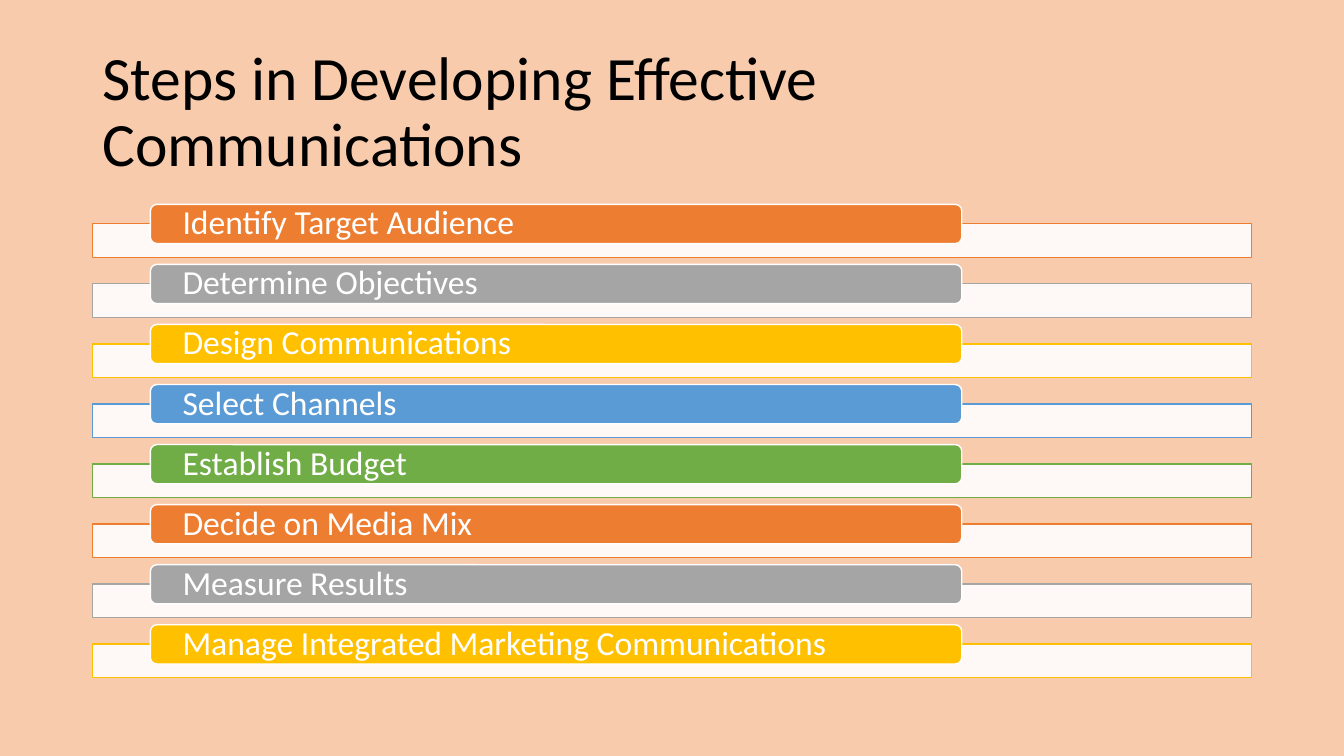
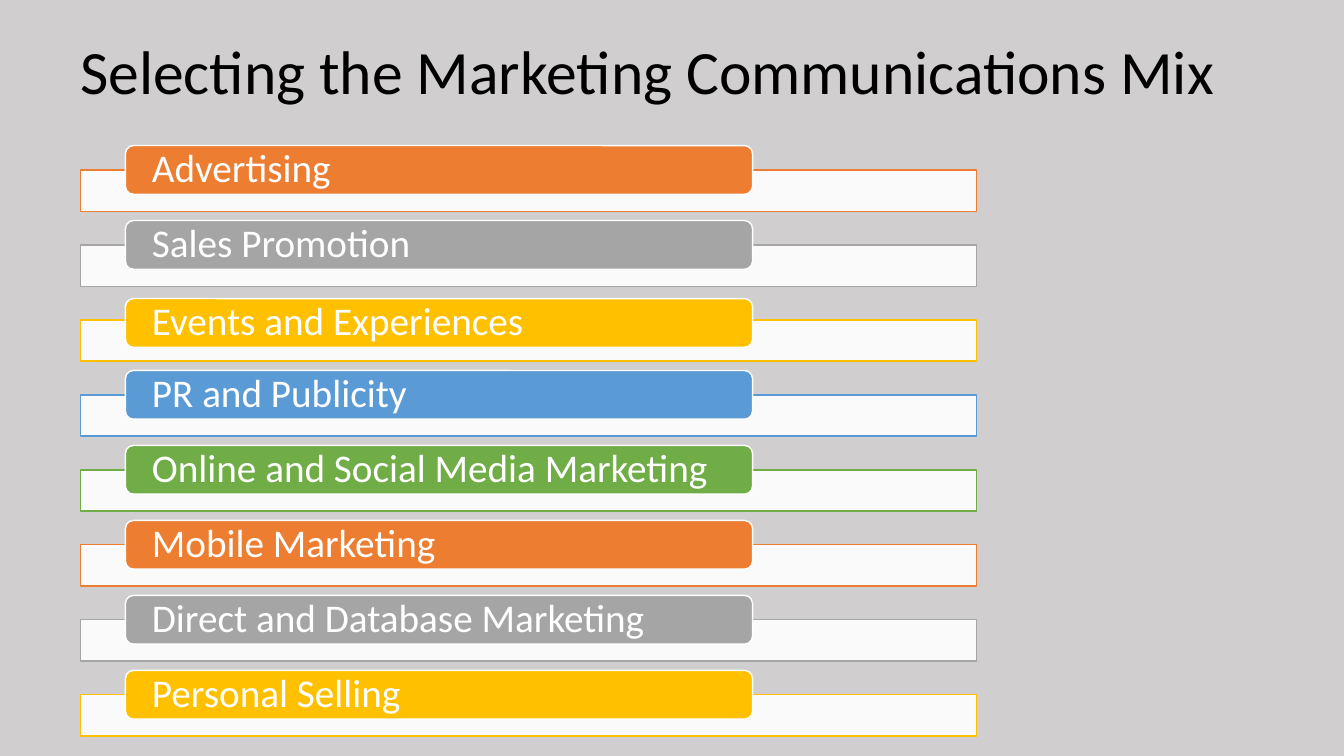
from itertools import cycle

from lxml import etree
from pptx import Presentation
from pptx.dml.color import RGBColor
from pptx.enum.shapes import MSO_SHAPE
from pptx.enum.text import MSO_ANCHOR, PP_ALIGN
from pptx.oxml.ns import qn
from pptx.util import Pt

RECT = MSO_SHAPE.RECTANGLE
ROUND = MSO_SHAPE.ROUNDED_RECTANGLE
MIDDLE = MSO_ANCHOR.MIDDLE
LEFT = PP_ALIGN.LEFT

FONT = "Calibri"
BLACK, WHITE = "000000", "FFFFFF"
ACCENTS = ["ED7D31", "A5A5A5", "FFC000", "5B9BD5", "70AD47"]

STEPS = [
    "Identify Target Audience",
    "Determine Objectives",
    "Design Communications",
    "Select Channels",
    "Establish Budget",
    "Decide on Media Mix",
    "Measure Results",
    "Manage Integrated Marketing Communications",
]
MIX = [
    "Advertising",
    "Sales Promotion",
    "Events and Experiences",
    "PR and Publicity",
    "Online and Social Media Marketing",
    "Mobile Marketing",
    "Direct and Database Marketing",
    "Personal Selling",
]


def rgb(code):
    return RGBColor.from_string(code)


def write(shape, text, size, color=BLACK, inset=(7.2, 3.6)):
    frame = shape.text_frame
    frame.word_wrap = True
    frame.vertical_anchor = MIDDLE
    frame.margin_left = frame.margin_right = Pt(inset[0])
    frame.margin_top = frame.margin_bottom = Pt(inset[1])
    para = frame.paragraphs[0]
    para.text = text
    para.alignment = LEFT
    para.line_spacing = 0.9
    para.font.name = FONT
    para.font.size = Pt(size)
    para.font.color.rgb = rgb(color)


def block(slide, kind, box, fill, line, alpha=100):
    """Add a filled, outlined shape; alpha is its opacity in percent."""
    shape = slide.shapes.add_shape(kind, *map(Pt, box))
    shape.shadow.inherit = False
    shape.fill.solid()
    shape.fill.fore_color.rgb = rgb(fill)
    shape.line.color.rgb = rgb(line)
    shape.line.width = Pt(1)
    if alpha < 100:
        tint = shape.fill._xPr.find(qn("a:solidFill"))[0]
        etree.SubElement(tint, qn("a:alpha"), val=str(alpha * 1000))
    return shape


def tab_list(slide, labels, bar, tab, pitch, size, inset, shifts=None):
    """Stack pale bars with a coloured label tab on each; bar and tab are the first boxes."""
    shifts = shifts or {}
    for row, (label, color) in enumerate(zip(labels, cycle(ACCENTS))):
        left, top, width, height = bar
        block(slide, RECT, (left, top + row * pitch, width, height), WHITE, color, 90)
        left, top, width, height = tab
        top += row * pitch + shifts.get(row, 0)
        label_tab = block(slide, ROUND, (left, top, width, height), color, WHITE)
        write(label_tab, label, size, WHITE, (inset, 0))


def add_slide(deck, back, title, left, top):
    slide = deck.slides.add_slide(deck.slide_layouts[6])
    slide.background.fill.solid()
    slide.background.fill.fore_color.rgb = rgb(back)
    box = slide.shapes.add_textbox(Pt(left), Pt(top), Pt(828), Pt(104.4))
    write(box, title, 44)
    return slide


def main():
    deck = Presentation()
    deck.slide_width, deck.slide_height = Pt(960), Pt(540)

    slide = add_slide(deck, "F8CBAD", "Steps in Developing Effective Communications", 66, 28.8)
    tab_list(slide, STEPS, bar=(66, 159.8, 828, 24), tab=(107.4, 146, 579.6, 28),
             pitch=42.9, size=24, inset=21.6)

    slide = add_slide(deck, "D0CECE", "Selecting the Marketing Communications Mix", 50.2, 1.2)
    tab_list(slide, MIX, bar=(57.5, 121.4, 640, 29.5), tab=(89.6, 104, 448, 34.8),
             pitch=53.55, size=28, inset=17.3, shifts={2: 2.2})

    deck.save("out.pptx")


if __name__ == "__main__":
    main()
